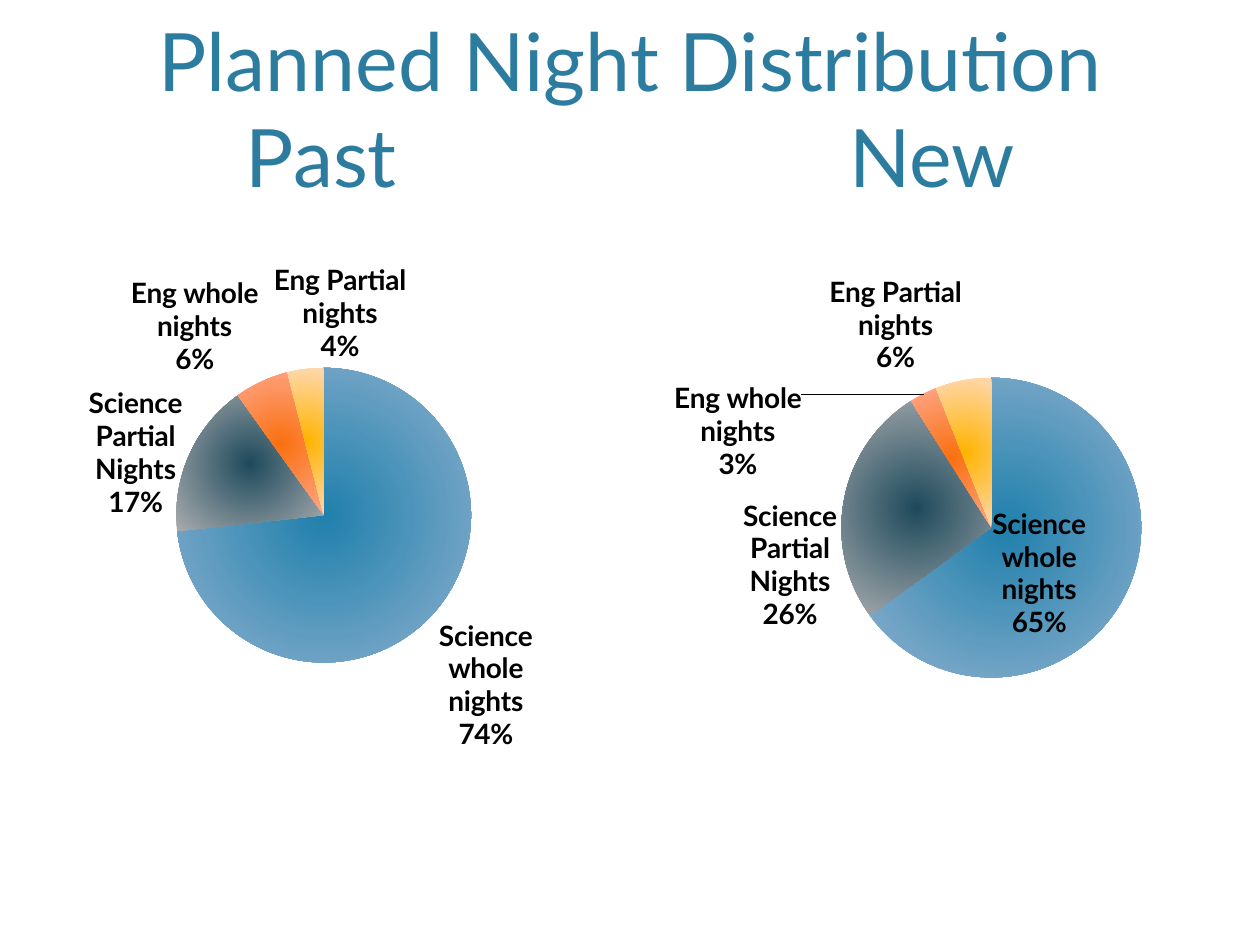
from pptx import Presentation
from pptx.chart.data import CategoryChartData
from pptx.dml.color import RGBColor
from pptx.enum.chart import XL_CHART_TYPE, XL_LABEL_POSITION
from pptx.enum.text import MSO_ANCHOR, MSO_AUTO_SIZE, PP_ALIGN
from pptx.oxml import parse_xml
from pptx.oxml.ns import nsdecls
from pptx.util import Inches, Pt

THEME = {
    "font": "Lato",
    "title_size": 46,
    "label_size": 16,
    "title": "2C7C9F",
    "label": "000000",
    # centre and edge of each slice's radial gradient
    "slices": [("2080AC", "8DB0CE"), ("1F4A5C", "A8ACAF"),
               ("F97010", "FFA78A"), ("FFB400", "FFD8B0")],
}
TITLE = "Planned Night Distribution"
TITLE_BOX = (0.6, 0.21, 8.8, 1.46)
HEADING_CENTERS = (1.85, 6.7)  # tab stops inside the title
CATEGORIES = ["Science whole nights", "Science Partial Nights",
              "Eng whole nights", "Eng Partial nights"]
# The values are rounded shares, so labels show them directly with a percent sign.
SHARE_FORMAT = '0"%"'
# box and pie centre/radius in inches; moved labels as {slice: (dx, dy)} fractions
CHARTS = [
    {"heading": "Past", "values": (74, 17, 6, 4), "box": (-0.33, 1.69, 5.39, 5.21),
     "center": (2.57, 4.09), "radius": 1.17, "moved": {1: (0, 0.1), 3: (0.15, 0)}},
    {"heading": "New", "values": (65, 26, 3, 6), "box": (4.89, 1.79, 5.52, 5.23),
     "center": (7.87, 4.19), "radius": 1.19,
     "moved": {0: (-0.2, -0.14), 1: (0, 0.2), 2: (-0.17, 0.14)}},
]


def manual_layout(entries):
    tags = "".join(f'<c:{tag} val="{value}"/>' for tag, value in entries)
    return parse_xml(f'<c:layout {nsdecls("c")}><c:manualLayout>{tags}'
                     '</c:manualLayout></c:layout>')


def radial_fill(point, inner, outer):
    point.format.fill.gradient()
    grad = point.format.fill._fill._gradFill
    grad.getparent().replace(grad, parse_xml(
        f'<a:gradFill {nsdecls("a")} rotWithShape="1"><a:gsLst>'
        f'<a:gs pos="0"><a:srgbClr val="{inner}"/></a:gs>'
        f'<a:gs pos="100000"><a:srgbClr val="{outer}"/></a:gs></a:gsLst>'
        '<a:path path="circle"><a:fillToRect l="50000" t="50000" r="50000" b="50000"/>'
        '</a:path></a:gradFill>'))


def split_label_lines(label):
    """Put the category and its share on separate lines."""
    label.xpath("c:showBubbleSize")[0].addnext(
        parse_xml(f'<c:separator {nsdecls("c")}>\n</c:separator>'))


def move_label(point, offset):
    point.data_label.position = XL_LABEL_POSITION.OUTSIDE_END
    label = point.data_label._dLbl
    layout = manual_layout(zip("xy", offset))
    label.idx.addnext(layout)
    layout.addnext(parse_xml(f'<c:numFmt {nsdecls("c")} sourceLinked="0" '
                             f"formatCode='{SHARE_FORMAT}'/>"))
    for tag, on in (("showVal", 1), ("showCatName", 1), ("showPercent", 0)):
        label.xpath(f"c:{tag}")[0].set("val", str(on))
    split_label_lines(label)


def style_font(font, size, color):
    font.name = THEME["font"]
    font.size = Pt(size)
    font.color.rgb = RGBColor.from_string(color)


def add_title(s):
    title = s.shapes.title
    title.left, title.top, title.width, title.height = map(Inches, TITLE_BOX)
    tf = title.text_frame
    tf.auto_size = MSO_AUTO_SIZE.NONE
    tf.vertical_anchor = MSO_ANCHOR.BOTTOM
    headings = "".join("\t" + c["heading"] for c in CHARTS)
    tf.text = f"{TITLE}\n{headings}"
    first, second = tf.paragraphs
    first.alignment, second.alignment = PP_ALIGN.CENTER, PP_ALIGN.LEFT
    stops = "".join(f'<a:tab pos="{Inches(x)}" algn="ctr"/>' for x in HEADING_CENTERS)
    second._p.get_or_add_pPr().append(
        parse_xml(f'<a:tabLst {nsdecls("a")}>{stops}</a:tabLst>'))
    for p in tf.paragraphs:
        for r in p.runs:
            style_font(r.font, THEME["title_size"], THEME["title"])


def add_pie(s, pie):
    data = CategoryChartData()
    data.categories = CATEGORIES
    data.add_series("Series 1", pie["values"])
    left, top, width, height = pie["box"]
    chart = s.shapes.add_chart(XL_CHART_TYPE.PIE, *map(Inches, pie["box"]), data).chart
    chart.has_title = chart.has_legend = False
    style_font(chart.font, THEME["label_size"], THEME["label"])
    chart.font.bold = True

    (cx, cy), radius = pie["center"], pie["radius"]
    area = chart._chartSpace.chart.plotArea
    for old in area.xpath("c:layout"):
        area.remove(old)
    area.insert(0, manual_layout([
        ("layoutTarget", "inner"), ("xMode", "edge"), ("yMode", "edge"),
        ("x", round((cx - radius - left) / width, 3)),
        ("y", round((cy - radius - top) / height, 3)),
        ("w", round(2 * radius / width, 3)), ("h", round(2 * radius / height, 3))]))

    plot = chart.plots[0]
    plot.vary_by_categories = True
    series = plot.series[0]
    labels = series.data_labels
    labels.show_value = labels.show_category_name = True
    labels.show_percentage = False
    labels.number_format, labels.number_format_is_linked = SHARE_FORMAT, False
    labels.position = XL_LABEL_POSITION.OUTSIDE_END
    style_font(labels.font, THEME["label_size"], THEME["label"])
    labels.font.bold = True
    split_label_lines(labels._element)
    for i, colors in enumerate(THEME["slices"]):
        radial_fill(series.points[i], *colors)
    for i, offset in pie["moved"].items():
        move_label(series.points[i], offset)


prs = Presentation()
prs.slide_width, prs.slide_height = Inches(10), Inches(7.5)
s = prs.slides.add_slide(prs.slide_layouts[5])
add_title(s)
for pie in reversed(CHARTS):
    add_pie(s, pie)
prs.save("out.pptx")
